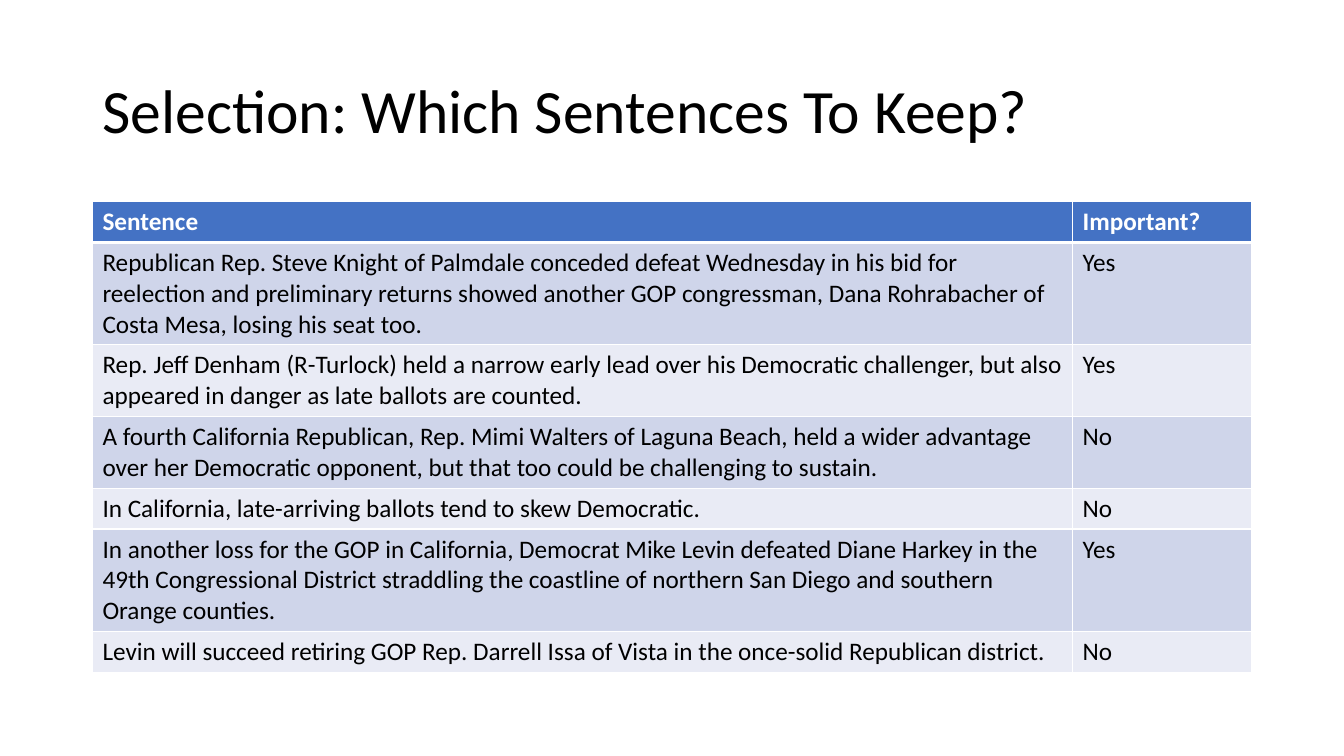
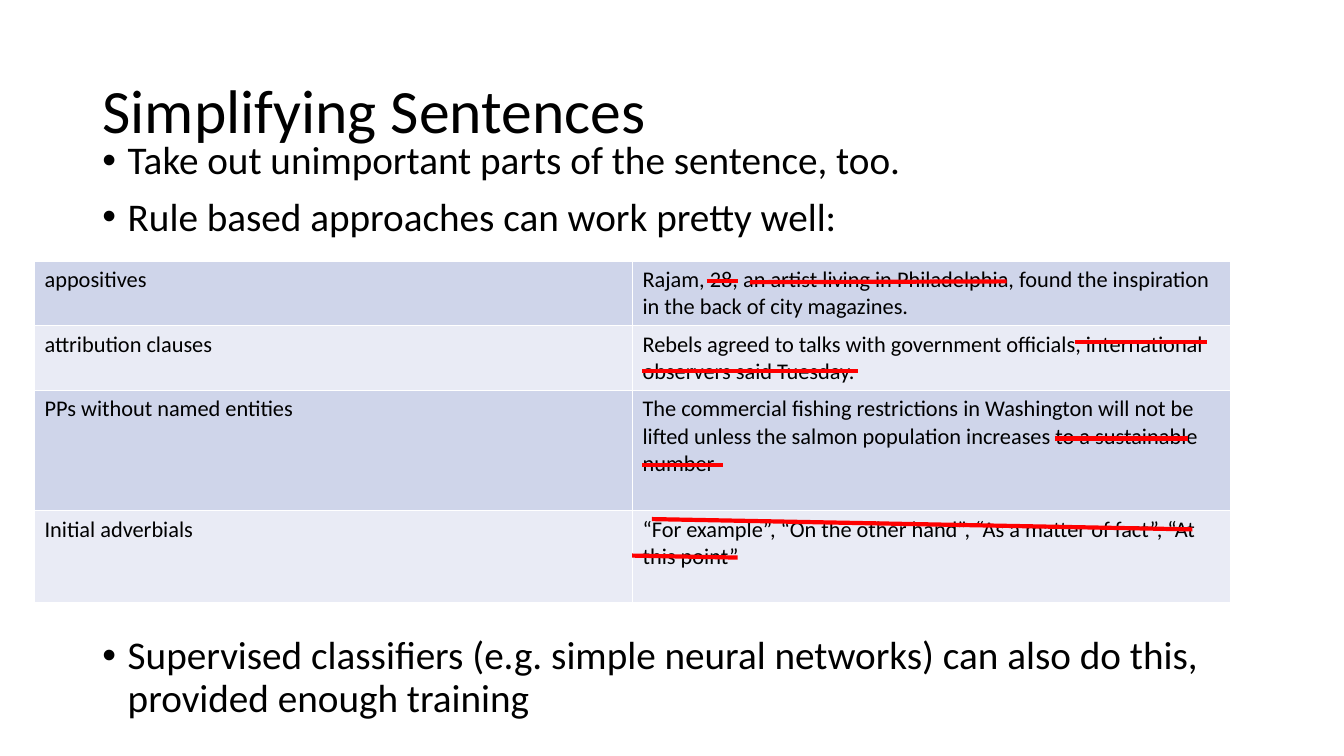
from dataclasses import dataclass
from typing import NamedTuple

from lxml.etree import SubElement
from pptx import Presentation
from pptx.dml.color import RGBColor
from pptx.enum.shapes import MSO_CONNECTOR
from pptx.enum.text import MSO_ANCHOR, MSO_AUTO_SIZE, PP_ALIGN
from pptx.oxml.ns import qn
from pptx.util import Cm, Pt


@dataclass(frozen=True)
class Theme:
    font: str = "Calibri"
    text: str = "000000"
    white: str = "FFFFFF"
    header: str = "4472C4"
    bands: tuple[str, str] = ("CFD5EA", "E9EBF5")
    strike: str = "FF0000"
    title_size: int = 44
    body_size: int = 28
    strike_width: int = 3
    border: int = 1
    header_border: int = 3


class Box(NamedTuple):
    """Position and size in centimetres."""
    left: float
    top: float
    width: float
    height: float


class Strike(NamedTuple):
    """End points of a strike-out line in centimetres."""
    x1: float
    y1: float
    x2: float
    y2: float


@dataclass(frozen=True)
class TableSpec:
    left: float
    top: float
    columns: tuple[float, ...]
    heights: tuple[float, ...]
    rows: tuple[tuple[str, ...], ...]
    size: int
    has_header: bool = False


THEME = Theme()
TITLE_BOX = Box(2.33, 1.02, 29.21, 3.68)
INTRO_BOX = Box(2.33, 3.43, 29.21, 3.15)
CLOSING_BOX = Box(2.33, 15.9, 29.21, 3.15)

# Row heights for one, two or three lines of 18 pt text
ONE, TWO, THREE = 1.03, 1.8, 2.58

SELECTION = TableSpec(
    2.33, 5.08, (24.7, 4.51), (ONE, THREE, TWO, TWO, ONE, THREE, ONE),
    (
        ("Sentence", "Important?"),
        ("Republican Rep. Steve Knight of Palmdale conceded defeat Wednesday in his bid for "
         "reelection and preliminary returns showed another GOP congressman, Dana Rohrabacher "
         "of Costa Mesa, losing his seat too.", "Yes"),
        ("Rep. Jeff Denham (R-Turlock) held a narrow early lead over his Democratic challenger, "
         "but also appeared in danger as late ballots are counted.", "Yes"),
        ("A fourth California Republican, Rep. Mimi Walters of Laguna Beach, held a wider "
         "advantage over her Democratic opponent, but that too could be challenging to "
         "sustain.", "No"),
        ("In California, late-arriving ballots tend to skew Democratic.", "No"),
        ("In another loss for the GOP in California, Democrat Mike Levin defeated Diane Harkey "
         "in the 49th Congressional District straddling the coastline of northern San Diego "
         "and southern Orange counties.", "Yes"),
        ("Levin will succeed retiring GOP Rep. Darrell Issa of Vista in the once-solid "
         "Republican district.", "No"),
    ),
    size=18, has_header=True,
)

RULES = TableSpec(
    0.87, 6.58, (15.07, 15.07), (1.63, 1.63, 3.03, 2.32),
    (
        ("appositives",
         "Rajam, 28, an artist living in Philadelphia, found the inspiration in the back of "
         "city magazines."),
        ("attribution clauses",
         "Rebels agreed to talks with government officials, international observers said "
         "Tuesday."),
        ("PPs without named entities",
         "The commercial fishing restrictions in Washington will not be lifted unless the "
         "salmon population increases to a sustainable number"),
        ("Initial adverbials",
         "“For example”, “On the other hand”, “As a matter of fact”, “At this point”"),
    ),
    size=16,
)

STRIKES = (
    Strike(17.81, 7.09, 18.59, 7.09),
    Strike(18.9, 7.11, 25.37, 7.09),
    Strike(16.18, 9.35, 21.62, 9.35),
    Strike(27.08, 8.61, 30.43, 8.61),
    Strike(16.18, 11.71, 18.21, 11.71),
    Strike(26.59, 11.05, 29.95, 11.05),
    Strike(16.43, 13.08, 30.05, 13.34),
    Strike(15.93, 14, 18.59, 14.05),
)


def style_text(p, size: int, color: str, bold: bool = False) -> None:
    for r in p.runs:
        r.font.name = THEME.font
        r.font.size = Pt(size)
        r.font.bold = bold
        r.font.color.rgb = RGBColor.from_string(color)


def add_title_slide(prs, title: str):
    s = prs.slides.add_slide(prs.slide_layouts[5])
    sp = s.shapes.title
    sp.left, sp.top, sp.width, sp.height = map(Cm, TITLE_BOX)
    tf = sp.text_frame
    tf.text = title
    tf.word_wrap = True
    tf.auto_size = MSO_AUTO_SIZE.NONE
    tf.vertical_anchor = MSO_ANCHOR.MIDDLE
    p = tf.paragraphs[0]
    p.alignment = PP_ALIGN.LEFT
    p.line_spacing = 0.9
    style_text(p, THEME.title_size, THEME.text)
    return s


def add_bullets(s, box: Box, *items: str) -> None:
    tf = s.shapes.add_textbox(*map(Cm, box)).text_frame
    tf.word_wrap = True
    tf.text = "\n".join(items)
    for i, p in enumerate(tf.paragraphs):
        p.line_spacing = 0.9
        if i:
            p.space_before = Pt(10)
        pPr = p._p.get_or_add_pPr()
        pPr.set("marL", str(Cm(0.64)))
        pPr.set("indent", str(Cm(-0.64)))
        SubElement(pPr, qn("a:buFont"), typeface="Arial")
        SubElement(pPr, qn("a:buChar"), char="•")
        style_text(p, THEME.body_size, THEME.text)


def set_borders(cell, top: int, bottom: int) -> None:
    tcPr = cell._tc.get_or_add_tcPr()
    widths = {"L": THEME.border, "R": THEME.border, "T": top, "B": bottom}
    for side, width in widths.items():
        ln = SubElement(tcPr, qn(f"a:ln{side}"), w=str(Pt(width)))
        fill = SubElement(ln, qn("a:solidFill"))
        SubElement(fill, qn("a:srgbClr"), val=THEME.white)


def add_table(s, spec: TableSpec) -> None:
    table = s.shapes.add_table(
        len(spec.rows), len(spec.columns), Cm(spec.left), Cm(spec.top),
        Cm(sum(spec.columns)), Cm(sum(spec.heights))).table
    table.first_row = spec.has_header
    table.horz_banding = False
    for column, width in zip(table.columns, spec.columns):
        column.width = Cm(width)
    first_body_row = int(spec.has_header)
    for i, (row, height, texts) in enumerate(zip(table.rows, spec.heights, spec.rows)):
        row.height = Cm(height)
        header = i < first_body_row
        below_header = spec.has_header and i == first_body_row
        color = THEME.header if header else THEME.bands[(i - first_body_row) % 2]
        for cell, text in zip(row.cells, texts):
            set_borders(cell,
                        THEME.header_border if below_header else THEME.border,
                        THEME.header_border if header else THEME.border)
            cell.fill.solid()
            cell.fill.fore_color.rgb = RGBColor.from_string(color)
            cell.text_frame.text = text
            style_text(cell.text_frame.paragraphs[0], spec.size,
                       THEME.white if header else THEME.text, header)


def add_strike(s, strike: Strike) -> None:
    line = s.shapes.add_connector(MSO_CONNECTOR.STRAIGHT, *map(Cm, strike))
    line.line.color.rgb = RGBColor.from_string(THEME.strike)
    line.line.width = Pt(THEME.strike_width)
    SubElement(line._element.spPr, qn("a:effectLst"))


def main() -> None:
    prs = Presentation()
    prs.slide_width, prs.slide_height = Cm(33.87), Cm(19.05)

    # Sentence selection
    s = add_title_slide(prs, "Selection: Which Sentences To Keep?")
    add_table(s, SELECTION)

    # Sentence simplification
    s = add_title_slide(prs, "Simplifying Sentences")
    add_bullets(s, INTRO_BOX,
                "Take out unimportant parts of the sentence, too.",
                "Rule based approaches can work pretty well:")
    add_bullets(s, CLOSING_BOX,
                "Supervised classifiers (e.g. simple neural networks) can also do this, "
                "provided enough training")
    add_table(s, RULES)
    for strike in STRIKES:
        add_strike(s, strike)

    prs.save("out.pptx")


if __name__ == "__main__":
    main()
